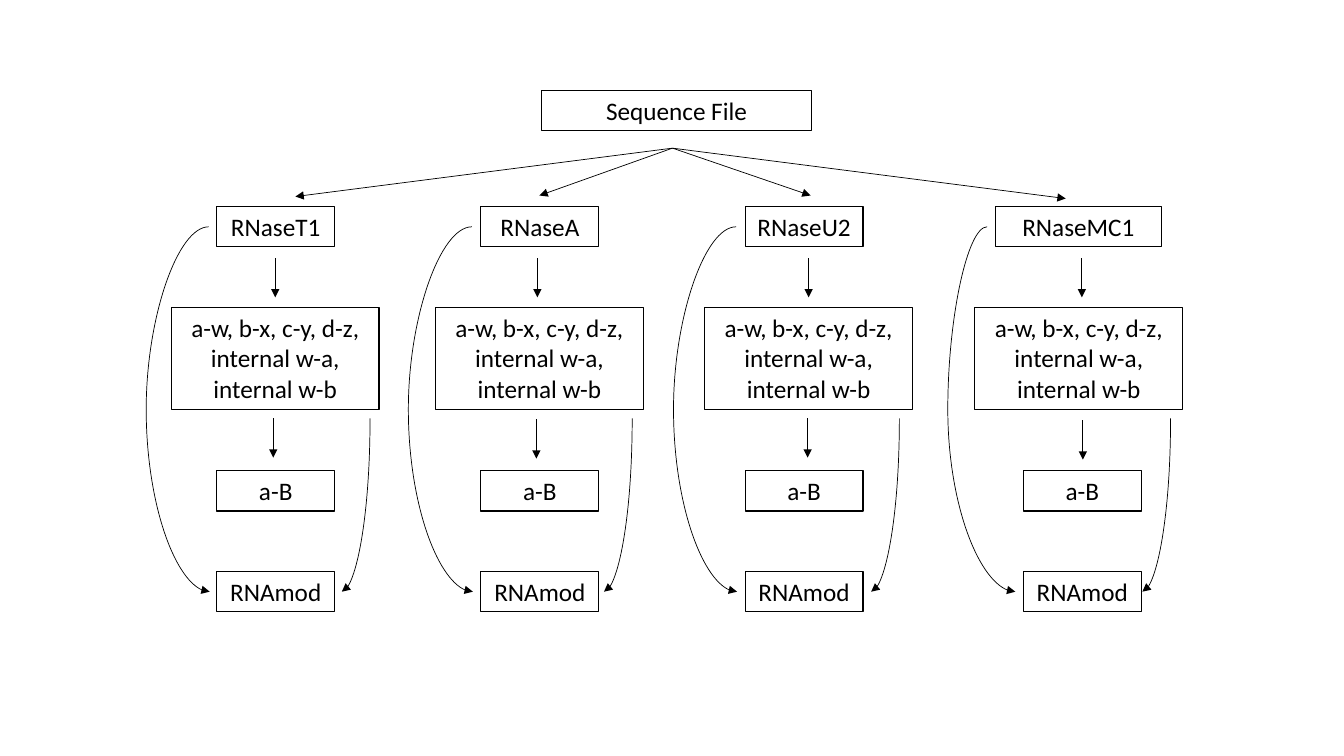
from collections import namedtuple

from lxml.etree import SubElement
from pptx import Presentation
from pptx.dml.color import RGBColor
from pptx.enum.shapes import MSO_CONNECTOR
from pptx.enum.text import MSO_AUTO_SIZE, PP_ALIGN
from pptx.oxml.ns import qn
from pptx.util import Inches, Pt

BLACK = RGBColor(0, 0, 0)
FRAGMENTS = "a-w, b-x, c-y, d-z, internal w-a, internal w-b"

Column = namedtuple(
    "Column",
    "enzyme enzyme_left enzyme_width fan_x fan_y upper_x fragments_left "
    "lower_x lower_y small_left loop_start loop_end loop_bulge hook_x",
)
columns = [
    Column("RNaseT1", 2.15, 1.17, 2.93, 1.95, 2.73, 1.7, 2.71, 4.15, 2.15, 2.07, 2.08, 1.44, 3.67),
    Column("RNaseA", 4.77, 1.17, 5.35, 1.94, 5.33, 4.32, 5.32, 4.16, 4.77, 4.68, 4.69, 4.04, 6.27),
    Column("RNaseU2", 7.39, 1.17, 8.04, 1.94, 8.02, 6.99, 8.01, 4.15, 7.39, 7.3, 7.31, 6.67, 8.92),
    Column("RNaseMC1", 9.87, 1.65, 10.57, 1.97, 10.73, 9.67, 10.74, 4.17, 10.15, 9.79, 10.07, 9.4, 11.61),
]

deck = Presentation()
deck.slide_width = Inches(13.33)
deck.slide_height = Inches(7.5)
page = deck.slides.add_slide(deck.slide_layouts[6])


def add_box(text, left, top, width, height=0.4):
    box = page.shapes.add_textbox(Inches(left), Inches(top), Inches(width), Inches(height))
    box.line.color.rgb = BLACK
    box.line.width = Pt(0.75)
    frame = box.text_frame
    frame.word_wrap = True
    frame.auto_size = MSO_AUTO_SIZE.SHAPE_TO_FIT_TEXT
    para = frame.paragraphs[0]
    para.alignment = PP_ALIGN.CENTER
    span = para.add_run()
    span.text = text
    span.font.name = "Calibri"
    span.font.size = Pt(18)
    span.font.color.rgb = BLACK


def add_arrow(kind, start_x, start_y, end_x, end_y):
    arrow = page.shapes.add_connector(
        kind, Inches(start_x), Inches(start_y), Inches(end_x), Inches(end_y)
    )
    arrow.line.color.rgb = BLACK
    arrow.line.width = Pt(0.5)
    properties = arrow._element.spPr
    SubElement(properties.find(qn("a:ln")), qn("a:tailEnd"), type="triangle")
    SubElement(properties, qn("a:effectLst"))
    return properties


add_box("Sequence File", 5.37, 0.9, 2.68)

hook_top, rnamod_middle = 4.15, 5.87
hook_length, hook_depth = rnamod_middle - hook_top, 0.28
hook_center_y = (hook_top + rnamod_middle) / 2

for column in columns:
    add_box(column.enzyme, column.enzyme_left, 2.05, column.enzyme_width)
    add_box(FRAGMENTS, column.fragments_left, 3.05, 2.06, 1.01)
    add_box("a-B", column.small_left, 4.67, 1.17)
    add_box("RNAmod", column.small_left, 5.67, 1.17)

    add_arrow(MSO_CONNECTOR.STRAIGHT, 6.67, 1.47, column.fan_x, column.fan_y)
    add_arrow(MSO_CONNECTOR.STRAIGHT, column.upper_x, 2.56, column.upper_x, 2.95)
    add_arrow(MSO_CONNECTOR.STRAIGHT, column.lower_x, column.lower_y, column.lower_x, column.lower_y + 0.39)

    loop = add_arrow(MSO_CONNECTOR.CURVE, column.loop_start, 2.25, column.loop_end, rnamod_middle)
    bend = (column.loop_bulge - column.loop_start) / (column.loop_end - column.loop_start)
    guides = loop.find(qn("a:prstGeom")).find(qn("a:avLst"))
    SubElement(guides, qn("a:gd"), name="adj1", fmla=f"val {round(bend * 100000)}")

    hook_center_x = column.hook_x - hook_depth / 2
    hook = add_arrow(
        MSO_CONNECTOR.CURVE,
        hook_center_x - hook_length / 2,
        hook_center_y - hook_depth / 2,
        hook_center_x + hook_length / 2,
        hook_center_y + hook_depth / 2,
    )
    hook.find(qn("a:xfrm")).set("rot", "5400000")
    hook.find(qn("a:prstGeom")).set("prst", "curvedConnector2")

deck.save("out.pptx")
